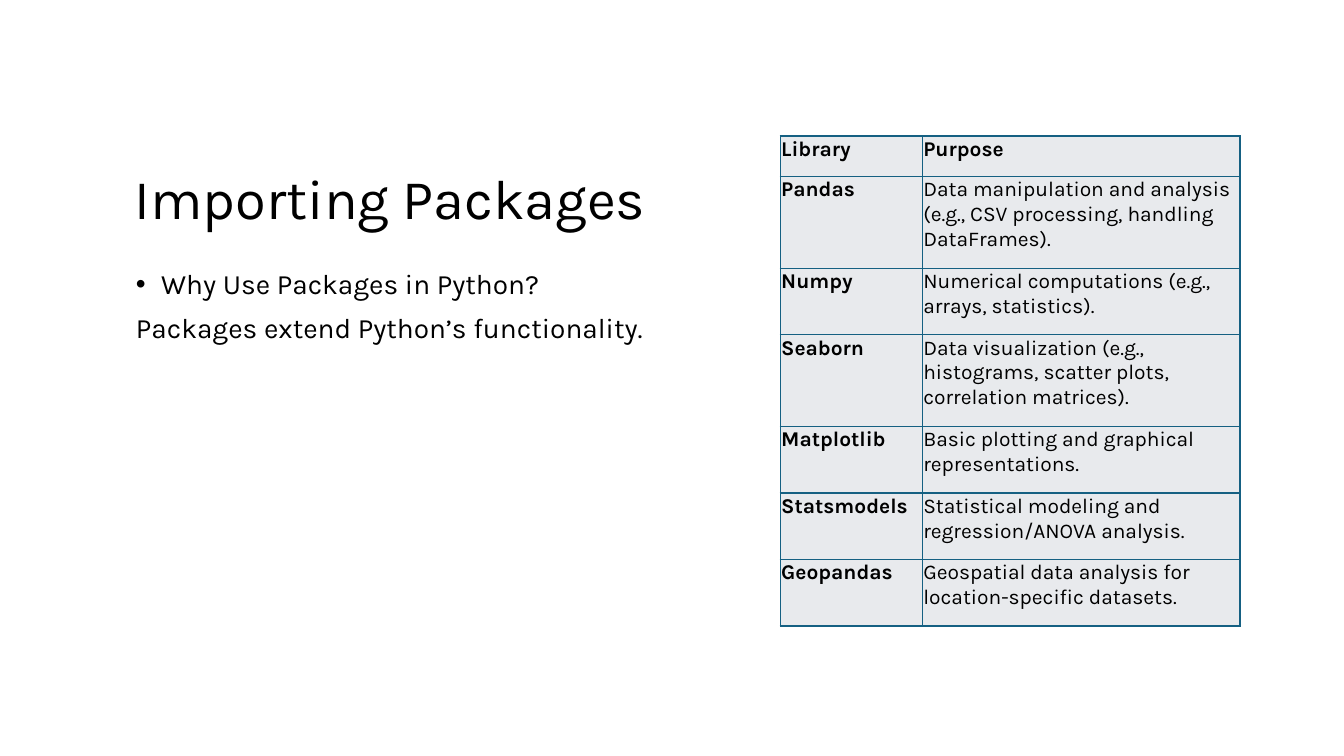
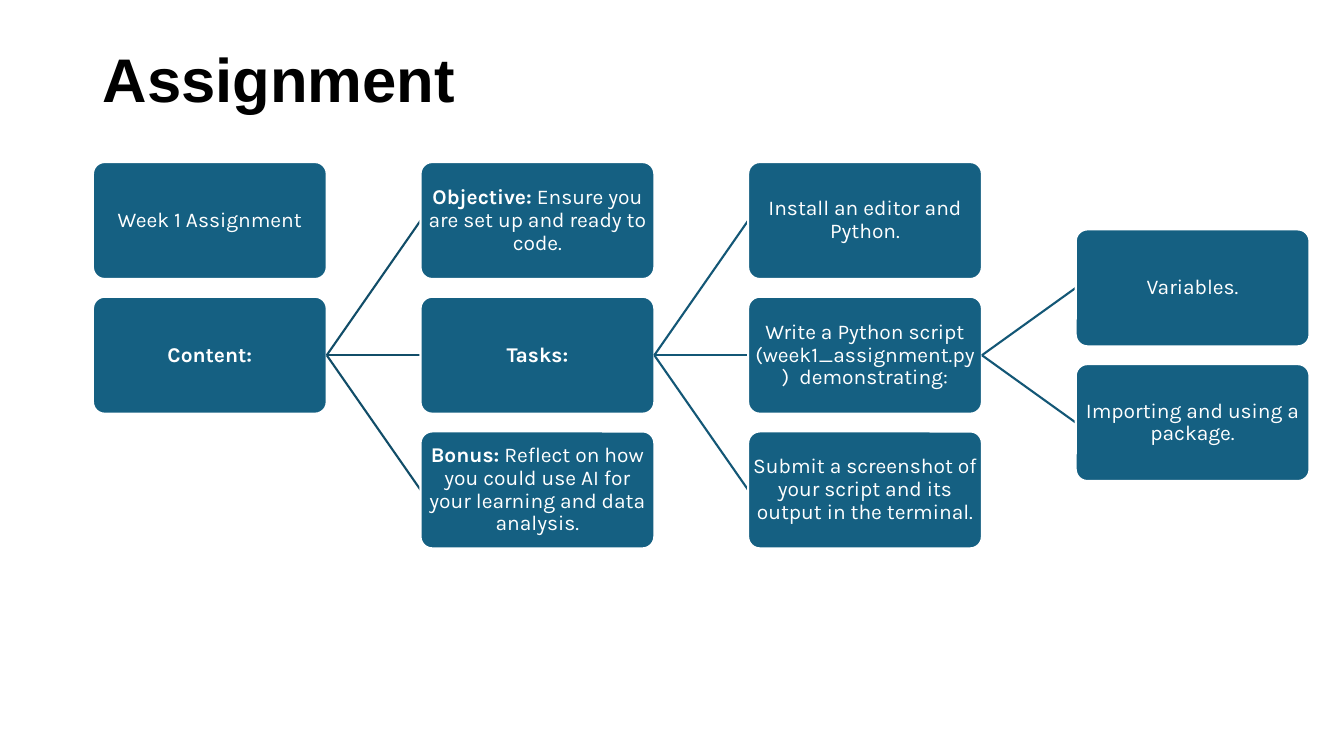
import lxml.etree
import pptx
import pptx.dml.color
import pptx.enum.shapes
import pptx.enum.text
import pptx.oxml.ns
import pptx.util

Pt = pptx.util.Pt
qn = pptx.oxml.ns.qn
ANCHOR = pptx.enum.text.MSO_ANCHOR
ALIGN = pptx.enum.text.PP_ALIGN

FONT = "Karla"
BLACK, WHITE, TEAL, PALE = "000000", "FFFFFF", "156082", "E8EAED"
LINK_COLORS = ["114D68", "135776", "135776"]

LIBRARIES = [
    ("Library", "Purpose"),
    ("Pandas", "Data manipulation and analysis (e.g., CSV processing, handling DataFrames)."),
    ("Numpy", "Numerical computations (e.g., arrays, statistics)."),
    ("Seaborn", "Data visualization (e.g., histograms, scatter plots, correlation matrices)."),
    ("Matplotlib", "Basic plotting and graphical representations."),
    ("Statsmodels", "Statistical modeling and regression/ANOVA analysis."),
    ("Geopandas", "Geospatial data analysis for location-specific datasets."),
]
COL_WIDTHS = [101.5, 227]
ROW_HEIGHTS = [28.8, 65.6, 47.5, 65.6, 47.5, 47.5, 47.5]

# key: (parent key, column, row, bold text, plain text)
TREE = {
    "week": (None, 0, 0, "", "Week 1 Assignment"),
    "content": (None, 0, 1, "Content:", ""),
    "objective": ("content", 1, 0, "Objective:", " Ensure you are set up and ready to code."),
    "tasks": ("content", 1, 1, "Tasks:", ""),
    "install": ("tasks", 2, 0, "", "Install an editor and Python."),
    "script": ("tasks", 2, 1, "", "Write a Python script (week1_assignment.py)  demonstrating:"),
    "variables": ("script", 3, 0.5, "", "Variables."),
    "package": ("script", 3, 1.5, "", "Importing and using a package."),
    "submit": ("tasks", 2, 2, "", "Submit a screenshot of your script and its output in the terminal."),
    "bonus": ("content", 1, 2, "Bonus:",
              " Reflect on how you could use AI for your learning and data analysis."),
}
TREE_LEFT, TREE_TOP = 66.4, 115.8
BOX_W, BOX_H = 167, 83.5
COL_STEP, ROW_STEP = 234, 96.2


def rgb(color):
    return pptx.dml.color.RGBColor.from_string(color)


def style_run(r, size, color=BLACK, bold=False, font=FONT):
    r.font.name, r.font.size, r.font.bold = font, Pt(size), bold
    r.font.color.rgb = rgb(color)


def set_insets(target, left, top, right, bottom):
    """Set the margins of a text frame or a table cell."""
    target.margin_left, target.margin_top = Pt(left), Pt(top)
    target.margin_right, target.margin_bottom = Pt(right), Pt(bottom)


def add_text(slide, box, lines, size, anchor=ANCHOR.TOP, **style):
    tf = slide.shapes.add_textbox(*map(Pt, box)).text_frame
    tf.word_wrap = True
    tf.vertical_anchor = anchor
    tf.text = "\n".join(lines)
    for p in tf.paragraphs:
        p.line_spacing = 0.9
        style_run(p.runs[0], size, **style)
    return tf


def add_bullet(p, indent):
    pPr = p._p.get_or_add_pPr()
    pPr.set("marL", str(Pt(indent)))
    pPr.set("indent", str(-Pt(indent)))
    lxml.etree.SubElement(pPr, qn("a:buFont")).set("typeface", "Arial")
    lxml.etree.SubElement(pPr, qn("a:buChar")).set("char", "•")


def add_borders(cell, color, width):
    tcPr = cell._tc.get_or_add_tcPr()
    for side in ("lnL", "lnR", "lnT", "lnB"):
        ln = lxml.etree.SubElement(tcPr, qn("a:" + side), w=str(Pt(width)))
        fill = lxml.etree.SubElement(ln, qn("a:solidFill"))
        lxml.etree.SubElement(fill, qn("a:srgbClr")).set("val", color)


def fill_cell(cell, text, bold):
    add_borders(cell, TEAL, 1)
    cell.fill.solid()
    cell.fill.fore_color.rgb = rgb(PALE)
    set_insets(cell, 0.75, 0.75, 0.75, 7.2)
    cell.text_frame.text = text
    p = cell.text_frame.paragraphs[0]
    p.space_before = p.space_after = Pt(12)
    style_run(p.runs[0], 15, bold=bold)


def add_library_table(slide, left, top):
    table = slide.shapes.add_table(
        len(LIBRARIES), len(COL_WIDTHS), Pt(left), Pt(top),
        Pt(sum(COL_WIDTHS)), Pt(sum(ROW_HEIGHTS))).table
    table.horz_banding = False
    for column, width in zip(table.columns, COL_WIDTHS):
        column.width = Pt(width)
    for i, (row, height) in enumerate(zip(table.rows, ROW_HEIGHTS)):
        row.height = Pt(height)
        for j, cell in enumerate(row.cells):
            fill_cell(cell, LIBRARIES[i][j], bold=i == 0 or j == 0)


def add_box(slide, col, row, bold_text, plain_text):
    sp = slide.shapes.add_shape(
        pptx.enum.shapes.MSO_SHAPE.ROUNDED_RECTANGLE,
        Pt(TREE_LEFT + col * COL_STEP), Pt(TREE_TOP + row * ROW_STEP), Pt(BOX_W), Pt(BOX_H))
    sp.adjustments[0] = 0.1
    sp.shadow.inherit = False
    sp.fill.solid()
    sp.fill.fore_color.rgb = rgb(TEAL)
    sp.line.color.rgb = rgb(WHITE)
    sp.line.width = Pt(1.5)
    tf = sp.text_frame
    tf.word_wrap = True
    tf.vertical_anchor = ANCHOR.MIDDLE
    # The rounded corners add about 2.4 pt to each inset.
    set_insets(tf, 0.75, 0.75, 0.75, 0.75)
    p = tf.paragraphs[0]
    p.alignment = ALIGN.CENTER
    p.line_spacing = 0.9
    for text, bold in ((bold_text, True), (plain_text, False)):
        if text:
            r = p.add_run()
            r.text = text
            style_run(r, 15, WHITE, bold)
    return sp


def add_link(slide, parent, col, row, color):
    """Draw a line from the parent box to the left side of a grid place."""
    cn = slide.shapes.add_connector(
        pptx.enum.shapes.MSO_CONNECTOR.STRAIGHT,
        parent.left + parent.width, parent.top + parent.height // 2,
        Pt(TREE_LEFT + col * COL_STEP), Pt(TREE_TOP + row * ROW_STEP + BOX_H / 2))
    cn.line.color.rgb = rgb(color)
    cn.line.width = Pt(1.5)
    lxml.etree.SubElement(cn._element.spPr, qn("a:effectLst"))
    return cn


def add_tree(slide):
    boxes = {}
    for key, (parent, col, row, bold_text, plain_text) in TREE.items():
        cn = None
        if parent:
            cn = add_link(slide, boxes[parent], col, row, LINK_COLORS[col - 1])
        boxes[key] = add_box(slide, col, row, bold_text, plain_text)
        if cn is not None:
            cn.begin_connect(boxes[parent], 3)
            cn.end_connect(boxes[key], 1)


def build_packages(slide):
    add_text(slide, (89.3, 39.6, 419, 129.6), ["Importing Packages"], 40, ANCHOR.BOTTOM)
    tf = add_text(slide, (90, 189.4, 418.3, 278.6),
                  ["Why Use Packages in Python?", "Packages extend Python’s functionality."], 20)
    for p in tf.paragraphs:
        p.space_before = Pt(10)
    add_bullet(tf.paragraphs[0], 18)
    add_library_table(slide, 557.3, 97.2)


def build_assignment(slide):
    tf = add_text(slide, (66.2, 28.8, 828, 104.4), ["Assignment"], 44, bold=True, font="Arial")
    tf.margin_top = Pt(6.5)
    add_tree(slide)


def main():
    prs = pptx.Presentation()
    prs.slide_width, prs.slide_height = Pt(960), Pt(540)
    for build in (build_packages, build_assignment):
        build(prs.slides.add_slide(prs.slide_layouts[6]))
    prs.save("out.pptx")


if __name__ == "__main__":
    main()
